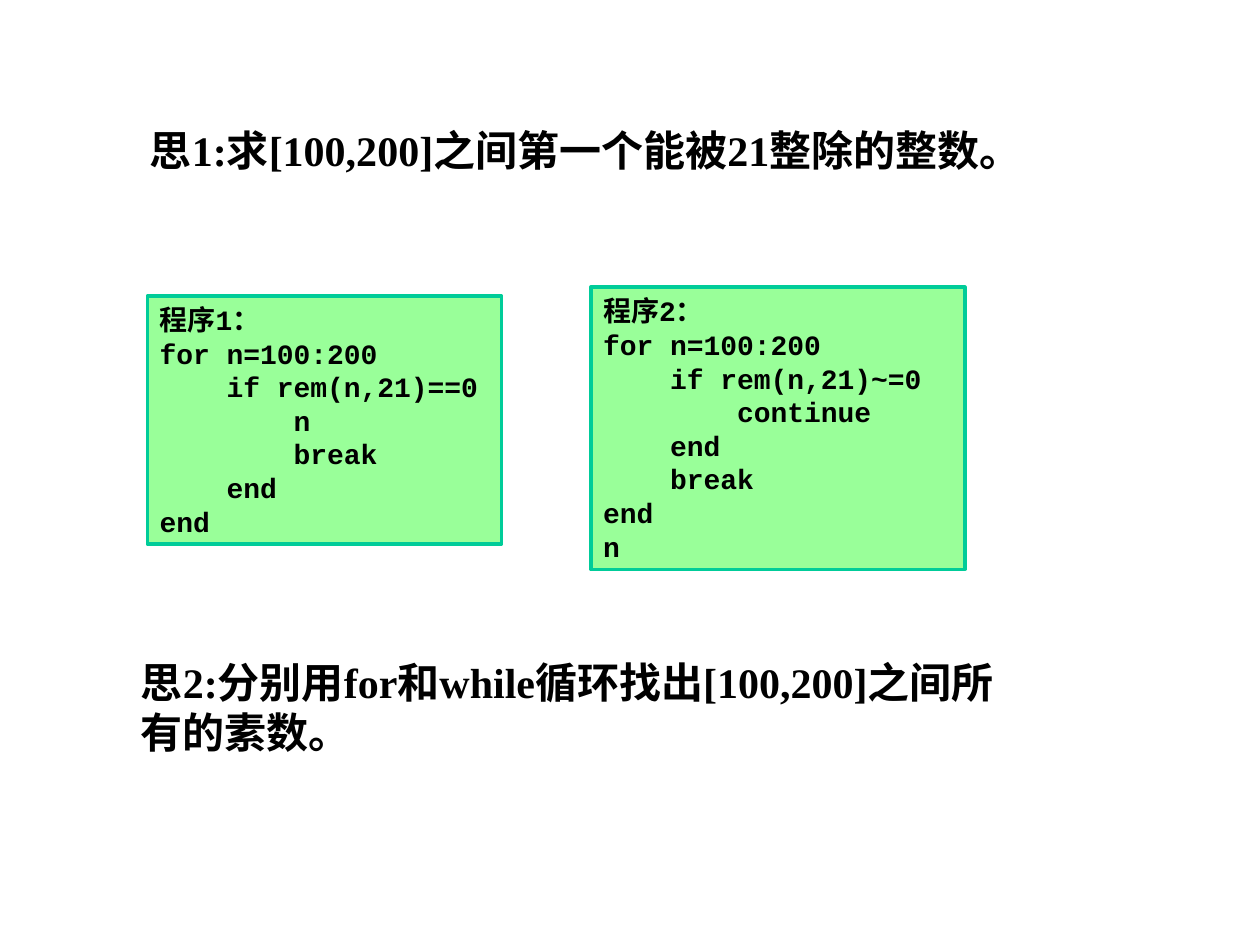
"""Build a slide with two loop exercises and two sample programs."""
import pptx
import pptx.dml.color
import pptx.enum.shapes
import pptx.enum.text
import pptx.util

Cm = pptx.util.Cm
Pt = pptx.util.Pt

QUESTIONS = [
    ("思1:求[100,200]之间第一个能被21整除的整数。", (2.77, 2.39, 18.26, 2.29)),
    ("思2:分别用for和while循环找出[100,200]之间所有的素数。", (2.59, 13.11, 18.26, 2.29)),
]

PROGRAMS = [
    ("""程序1：
for n=100:200
    if rem(n,21)==0
        n
        break
    end
end""", (2.97, 5.97, 7.14, 5.0)),
    ("""程序2：
for n=100:200
    if rem(n,21)~=0
        continue
    end
    break
end
n""", (11.91, 5.79, 7.54, 5.69)),
]


def paint(color, value):
    color.rgb = pptx.dml.color.RGBColor.from_string(value)


def write(sp, text, font, size, anchor):
    tf = sp.text_frame
    tf.text = text
    tf.word_wrap = True
    tf.auto_size = pptx.enum.text.MSO_AUTO_SIZE.SHAPE_TO_FIT_TEXT
    tf.vertical_anchor = anchor
    for p in tf.paragraphs:
        p.alignment = pptx.enum.text.PP_ALIGN.LEFT
        for r in p.runs:
            r.font.name = font
            r.font.size = Pt(size)
            r.font.bold = True
            paint(r.font.color, "000000")


def add_question(s, text, box):
    sp = s.shapes.add_textbox(*map(Cm, box))
    write(sp, text, "Times New Roman", 24, pptx.enum.text.MSO_ANCHOR.TOP)


def add_program(s, code, box):
    sp = s.shapes.add_shape(pptx.enum.shapes.MSO_SHAPE.RECTANGLE, *map(Cm, box))
    sp.shadow.inherit = False
    sp.fill.solid()
    paint(sp.fill.fore_color, "99FF99")
    paint(sp.line.color, "00CC99")
    sp.line.width = Pt(2)
    write(sp, code, "Courier New", 16, pptx.enum.text.MSO_ANCHOR.MIDDLE)


def main():
    prs = pptx.Presentation()
    prs.slide_width, prs.slide_height = Cm(25.4), Cm(19.05)
    s = prs.slides.add_slide(prs.slide_layouts.get_by_name("Blank"))
    add_question(s, *QUESTIONS[0])
    for code, box in PROGRAMS:
        add_program(s, code, box)
    add_question(s, *QUESTIONS[1])
    prs.save("out.pptx")


if __name__ == "__main__":
    main()
